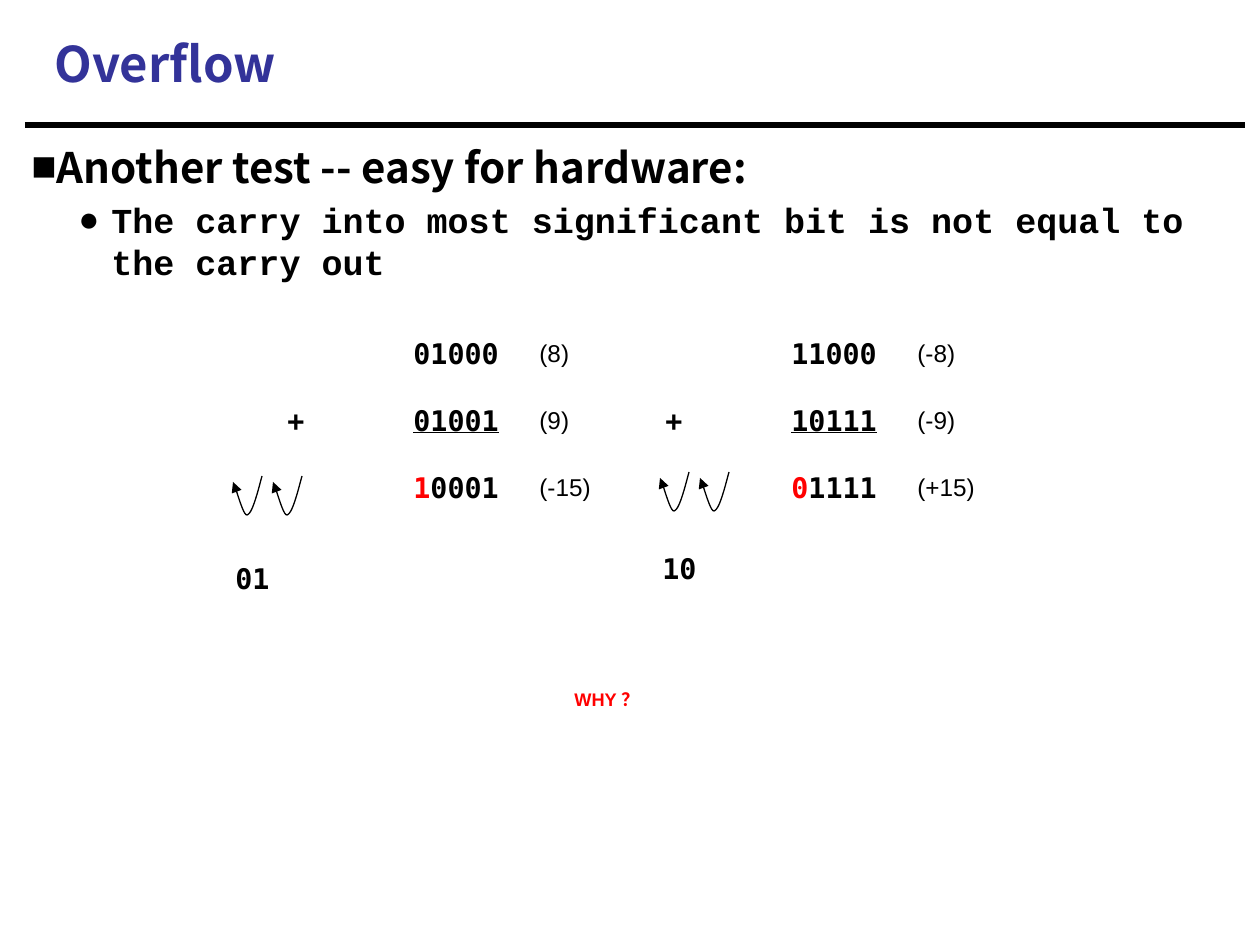
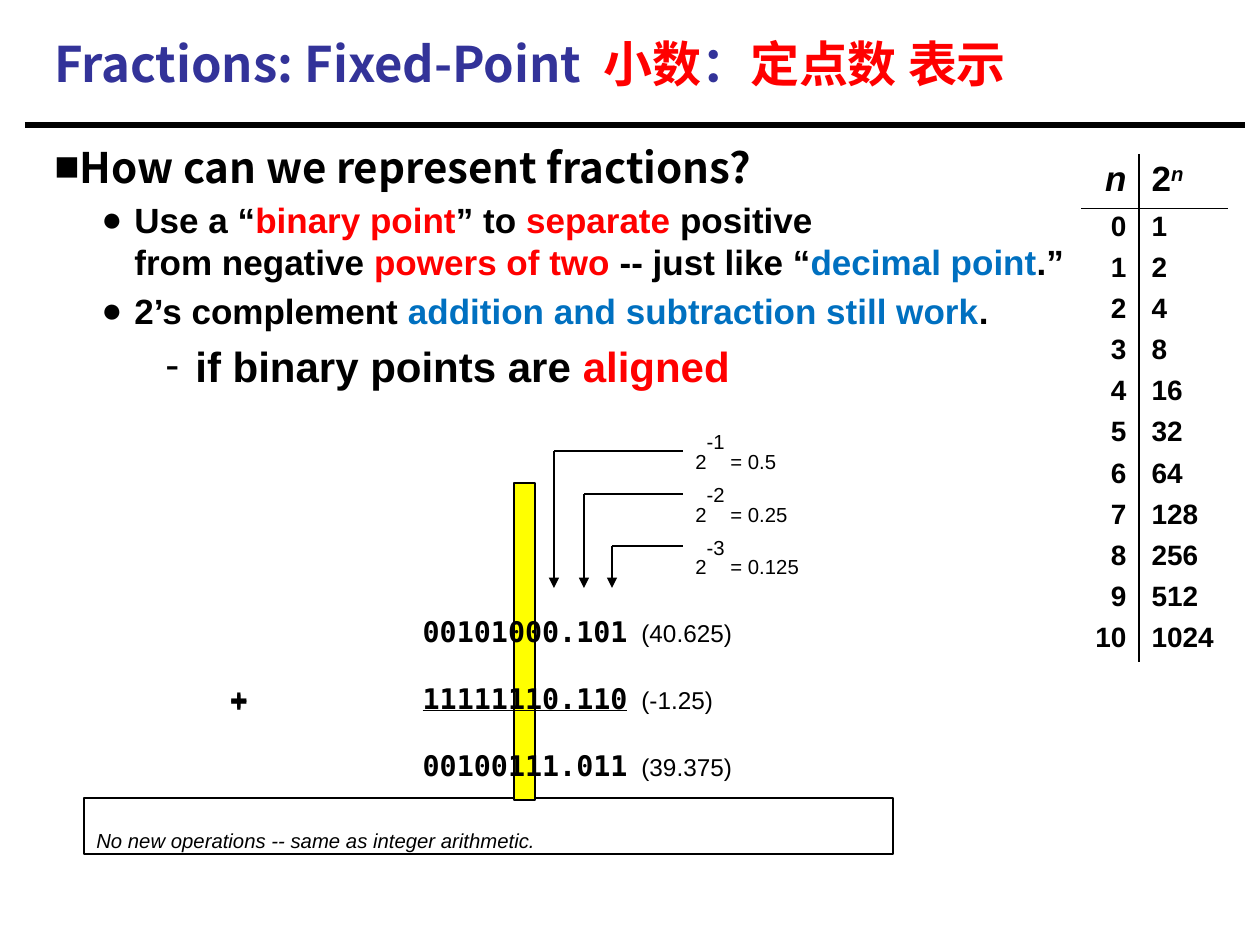
from lxml.etree import SubElement
from pptx import Presentation
from pptx.dml.color import RGBColor
from pptx.enum.shapes import MSO_CONNECTOR, MSO_SHAPE
from pptx.enum.text import MSO_ANCHOR, PP_ALIGN
from pptx.oxml.ns import qn
from pptx.util import Pt

# Shared style
BLACK, BLUE, RED, SKY, YELLOW = "000000", "333399", "FF0000", "0070C0", "FFFF00"
HEAD, SANS, MONO, CODE = "Noto Sans CJK SC", "Arial", "DejaVu Sans Mono", "Courier New"
TITLE = dict(size=28, font=HEAD, color=BLUE, bold=True)
HEADING = dict(size=24, font=HEAD, bold=True)
POINT = dict(size=20, bold=True)
LOW, HIGH = -25000, 30000
DIGITS = dict(size=28, font=MONO, bold=True, baseline=LOW)
VALUE = dict(size=24, baseline=LOW)
NOTE = dict(size=20, baseline=LOW)
LEVELS = {  # bullet, left margin, first-line indent, points before
    0: ("■", 0, 0, 0),
    1: ("●", 80, -33, 4),
    2: ("-", 141, -30, 5),
}

# Slide 1 content
OVERFLOW_TITLE = [("Overflow", {})]
OVERFLOW_POINTS = [
    (0, HEADING, [("Another test -- easy for hardware:", {})]),
    (1, dict(POINT, font=CODE),
     [("The carry into most significant bit is not equal to the carry out", {})]),
]
OVERFLOW_SUMS = [
    [("\t\t01000\t", DIGITS), ("(8)\t\t", VALUE), ("11000\t", DIGITS), ("(-8)", VALUE)],
    [("\t+\t", DIGITS), ("01001", dict(DIGITS, underline=True)), ("\t", DIGITS),
     ("(9)\t", VALUE), ("+\t", DIGITS), ("10111", dict(DIGITS, underline=True)),
     ("\t", DIGITS), ("(-9)", VALUE)],
    [("\t\t", DIGITS), ("1", dict(DIGITS, color=RED)), ("0001\t", DIGITS),
     ("(-15)\t\t", VALUE), ("0", dict(DIGITS, color=RED)), ("1111\t", DIGITS),
     ("(+15)", VALUE)],
]
OVERFLOW_TABS = [(126 * column, "l") for column in range(1, 7)]
CARRIES = [("01", 223, 522), ("10", 650, 512)]
CARRY_ARROWS = [(302, 476), (262, 476), (729, 472), (689, 472)]
CARRY_CURVES = [  # Bezier segments, relative to the start of the arrow
    [(0, 0), (-5, 19), (-10, 38), (-15, 39)],
    [(-15, 39), (-19, 40), (-26, 11), (-29, 6)],
]

# Slide 2 content
FRACTION_TITLE = [("Fractions: Fixed-Point  ", {}), ("小数", dict(color=RED)),
                  ("：", {}), ("定点数 表示", dict(color=RED))]
FRACTION_POINTS = [
    (0, HEADING, [("How can we represent fractions?", {})]),
    (1, POINT, [
        ("Use a “", {}), ("binary point", dict(color=RED)), ("” to ", {}),
        ("separate", dict(color=RED)), (" positive\nfrom negative ", {}),
        ("powers of two ", dict(color=RED)), ("-- just like “", {}),
        ("decimal point", dict(color=SKY)), (".”", {})]),
    (1, POINT, [("2’s complement ", {}),
                ("addition and subtraction still work", dict(color=SKY)), (".", {})]),
    (2, dict(POINT, size=24), [("if binary points are ", {}),
                               ("aligned", dict(color=RED))]),
]
PLACES = [  # exponent, value, label top, line height, arrow column
    ("-1", "0.5", 419, 451, 554),
    ("-2", "0.25", 472, 494, 584),
    ("-3", "0.125", 525, 546, 612),
]
FRACTION_VALUES = [
    [("\t\t\t", DIGITS), ("(40.625)", VALUE)],
    [("\t+\t\t", DIGITS), ("(-1.25)", VALUE)],
    [("\t\t\t", DIGITS), ("(39.375)", VALUE)],
]
FRACTION_SUMS = [
    [("\t\t00101000.101", DIGITS)],
    [("\t+\t", DIGITS), ("11111110.110", dict(DIGITS, underline=True))],
    [("\t\t00100111.011", DIGITS)],
]
FRACTION_TABS = [(77, "r"), (457, "r"), (471, "l")]
CLOSING = "No new operations -- same as integer arithmetic."


def px(length):
    return round(length * 914400 / 126)


def rgb(value):
    return RGBColor.from_string(value)


def add_span(para, text, size=20, font=SANS, color=BLACK, bold=False, italic=False,
             underline=False, baseline=0):
    for index, piece in enumerate(text.split("\n")):
        if index:
            para.add_line_break()
        span = para.add_run()
        span.text = piece
        style = span.font
        style.size, style.bold, style.italic = Pt(size), bold, italic
        style.underline = underline
        style.color.rgb = rgb(color)
        style.name = font
        props = span._r.get_or_add_rPr()
        SubElement(props, qn("a:ea")).set("typeface", HEAD)
        if baseline:
            props.set("baseline", str(baseline))


def fill_frame(frame, lines, anchor=MSO_ANCHOR.TOP, tabs=()):
    """Write a list of lines, each a list of (text, format) spans."""
    frame.word_wrap = True
    frame.vertical_anchor = anchor
    for index, spans in enumerate(lines):
        para = frame.add_paragraph() if index else frame.paragraphs[0]
        para.alignment = PP_ALIGN.LEFT
        for text, style in spans:
            add_span(para, text, **style)
        if tabs:
            stops = SubElement(para._p.get_or_add_pPr(), qn("a:tabLst"))
            for position, align in tabs:
                stop = SubElement(stops, qn("a:tab"))
                stop.set("pos", str(px(position)))
                stop.set("algn", align)


def add_text(page, left, top, width, height, lines, **options):
    box = page.shapes.add_textbox(px(left), px(top), px(width), px(height))
    fill_frame(box.text_frame, lines, **options)
    return box


def add_points(page, left, top, width, height, points):
    lines = [[(text, {**base, **style}) for text, style in spans]
             for _, base, spans in points]
    box = add_text(page, left, top, width, height, lines)
    for para, (level, _, _) in zip(box.text_frame.paragraphs, points):
        mark, margin, indent, before = LEVELS[level]
        para.space_before = Pt(before)
        props = para._p.get_or_add_pPr()
        props.set("marL", str(px(margin)))
        props.set("indent", str(px(indent)))
        SubElement(props, qn("a:buFont")).set("typeface", SANS)
        SubElement(props, qn("a:buChar")).set("char", mark)


def style_line(line, weight=0.75, arrow=False):
    line.color.rgb = rgb(BLACK)
    line.width = Pt(weight)
    if arrow:
        SubElement(line._get_or_add_ln(), qn("a:tailEnd")).set("type", "triangle")


def add_line(page, start, end, **options):
    ends = [px(value) for value in (*start, *end)]
    connector = page.shapes.add_connector(MSO_CONNECTOR.STRAIGHT, *ends)
    style_line(connector.line, **options)
    SubElement(connector._element.spPr, qn("a:effectLst"))


def add_rect(page, left, top, width, height, fill=None):
    rect = page.shapes.add_shape(MSO_SHAPE.RECTANGLE, px(left), px(top),
                                 px(width), px(height))
    rect.shadow.inherit = False
    if fill:
        rect.fill.solid()
        rect.fill.fore_color.rgb = rgb(fill)
    else:
        rect.fill.background()
    style_line(rect.line)
    return rect


def add_carry_arrow(page, left, top):
    points = []
    for curve in CARRY_CURVES:
        for step in range(13):
            t = step / 12
            weights = ((1 - t) ** 3, 3 * t * (1 - t) ** 2, 3 * t * t * (1 - t), t ** 3)
            points.append(tuple(
                px(origin + sum(w * point[axis] for w, point in zip(weights, curve)))
                for axis, origin in enumerate((left, top))))
    builder = page.shapes.build_freeform(*points[0])
    builder.add_line_segments(points[1:], close=False)
    arrow = builder.convert_to_shape()
    arrow.shadow.inherit = False
    arrow.fill.background()
    style_line(arrow.line, arrow=True)


def add_powers_table(page, left, top):
    widths, heights = (58, 89), [54] + [41] * 11
    table = page.shapes.add_table(12, 2, px(left), px(top), px(sum(widths)),
                                  px(sum(heights))).table
    table.first_row = table.horz_banding = False
    for column, width in zip(table.columns, widths):
        column.width = px(width)
    for row, height in zip(table.rows, heights):
        row.height = px(height)
    head = dict(size=20, bold=True)
    slanted = dict(head, italic=True)
    number = dict(size=16, bold=True)
    rows = [([("n", slanted)], [("2", head), ("n", dict(slanted, baseline=HIGH))])]
    rows += [([(str(n), number)], [(str(2 ** n), number)]) for n in range(11)]
    for r, cells in enumerate(rows):
        for c, spans in enumerate(cells):
            cell = table.cell(r, c)
            para = cell.text_frame.paragraphs[0]
            para.alignment = PP_ALIGN.LEFT if c else PP_ALIGN.RIGHT
            if r:
                para.line_spacing = 0.85
            for text, style in spans:
                add_span(para, text, **style)
            drawn = {"lnL": c == 1, "lnR": c == 0, "lnT": r == 1, "lnB": r == 0}
            props = cell._tc.get_or_add_tcPr()
            for side, visible in drawn.items():
                border = SubElement(props, qn("a:" + side))
                border.set("w", str(Pt(1)))
                if visible:
                    paint = SubElement(border, qn("a:solidFill"))
                    SubElement(paint, qn("a:srgbClr")).set("val", BLACK)
                else:
                    SubElement(border, qn("a:noFill"))
            cell.fill.background()


def add_page(deck, title):
    page = deck.slides.add_slide(deck.slide_layouts[6])
    add_line(page, (25, 125), (1245, 125), weight=3.75)
    spans = [(text, {**TITLE, **style}) for text, style in title]
    add_text(page, 42, 10, 1218, 106, [spans], anchor=MSO_ANCHOR.MIDDLE)
    return page


def build_overflow(deck):
    page = add_page(deck, OVERFLOW_TITLE)
    add_points(page, 19, 135, 1197, 160, OVERFLOW_POINTS)
    for left, top in CARRY_ARROWS:
        add_carry_arrow(page, left, top)
    add_text(page, 149, 297, 987, 189, OVERFLOW_SUMS, tabs=OVERFLOW_TABS)
    for digits, left, top in CARRIES:
        add_text(page, left, top, 84, 72, [[(digits, DIGITS)]])
    why = dict(size=18, color=RED, bold=True, baseline=LOW)
    add_text(page, 562, 661, 140, 50, [[("WHY ？", why)]])


def build_fractions(deck):
    page = add_page(deck, FRACTION_TITLE)
    add_points(page, 42, 135, 1218, 755, FRACTION_POINTS)
    # Place values with arrows to their columns
    for exponent, value, top, level, column in PLACES:
        add_text(page, 683, top, 193, 54, [[
            ("2", NOTE), (exponent, dict(NOTE, baseline=HIGH)), (f" = {value}", NOTE)]])
        add_line(page, (683, level), (column, level))
        add_line(page, (column, level), (column, 588), arrow=True)
    closing = add_rect(page, 84, 798, 809, 56)
    fill_frame(closing.text_frame, [[(CLOSING, dict(NOTE, italic=True))]])
    add_powers_table(page, 1081, 154)
    # Sum, with the column bar behind the digits
    add_text(page, 158, 577, 987, 189, FRACTION_VALUES, tabs=FRACTION_TABS)
    add_rect(page, 514, 483, 21, 317, fill=YELLOW)
    add_text(page, 158, 575, 987, 189, FRACTION_SUMS, tabs=FRACTION_TABS)


def main():
    deck = Presentation()
    deck.slide_width, deck.slide_height = px(1260), px(945)
    build_overflow(deck)
    build_fractions(deck)
    deck.save("out.pptx")


if __name__ == "__main__":
    main()
